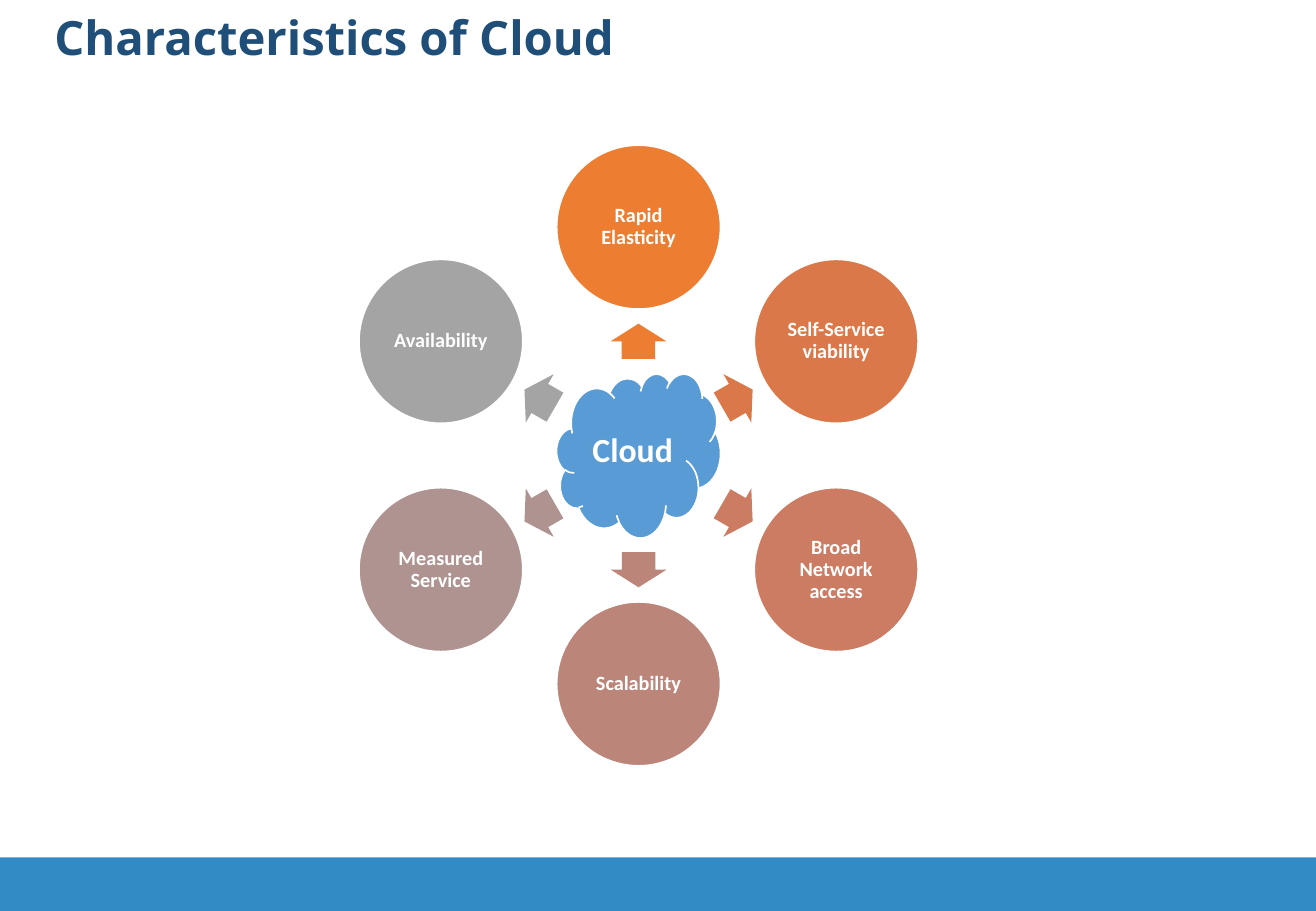
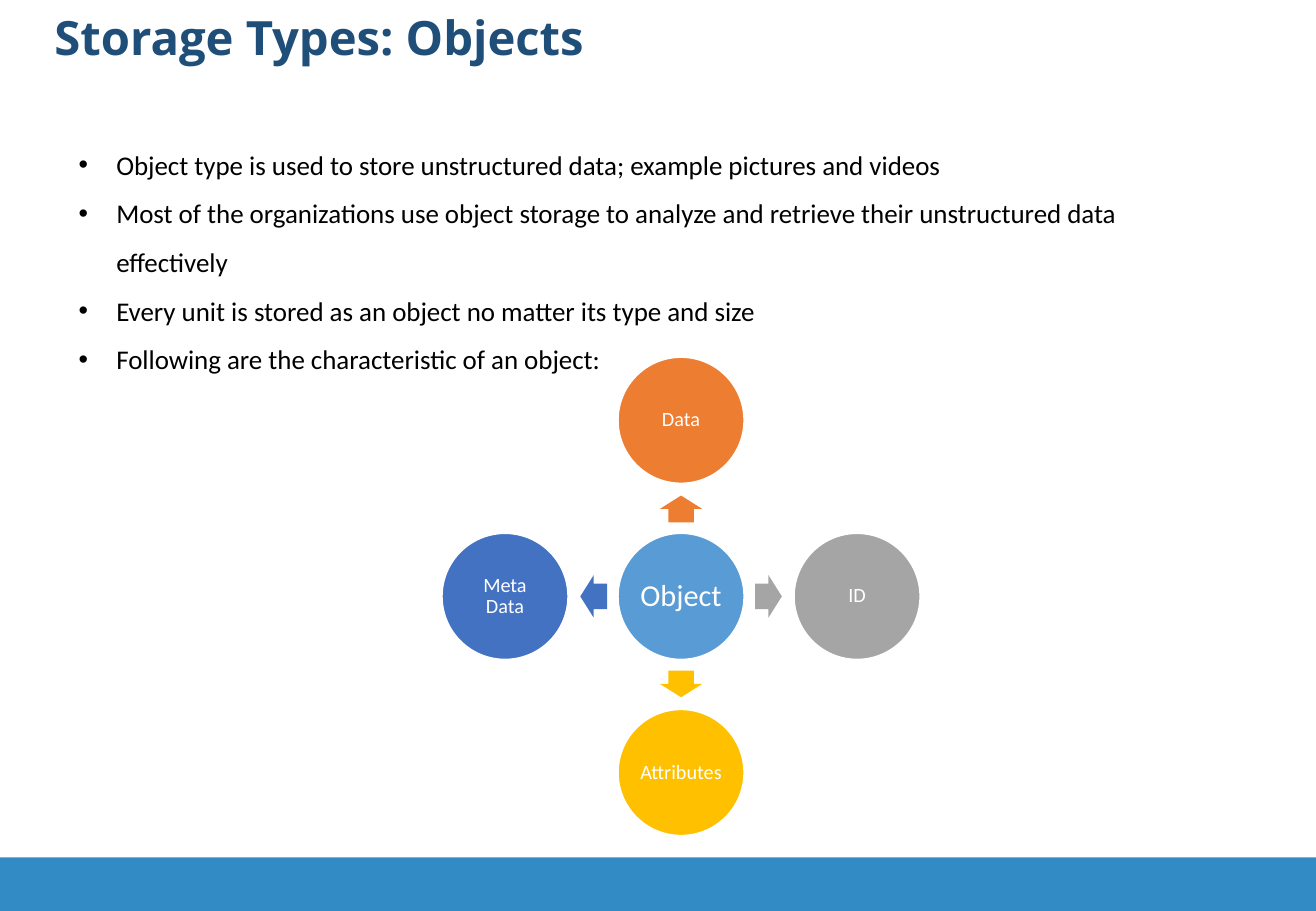
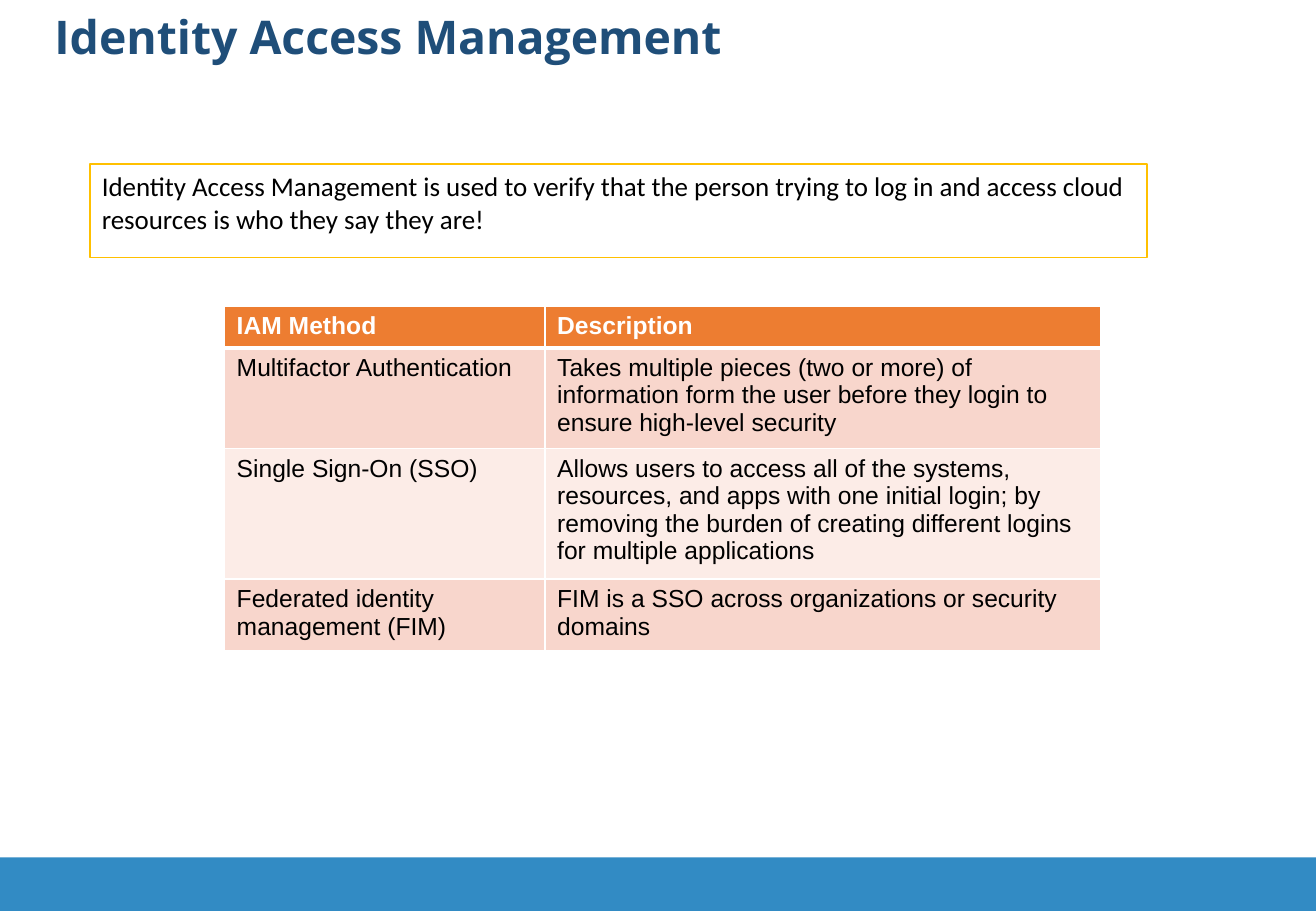
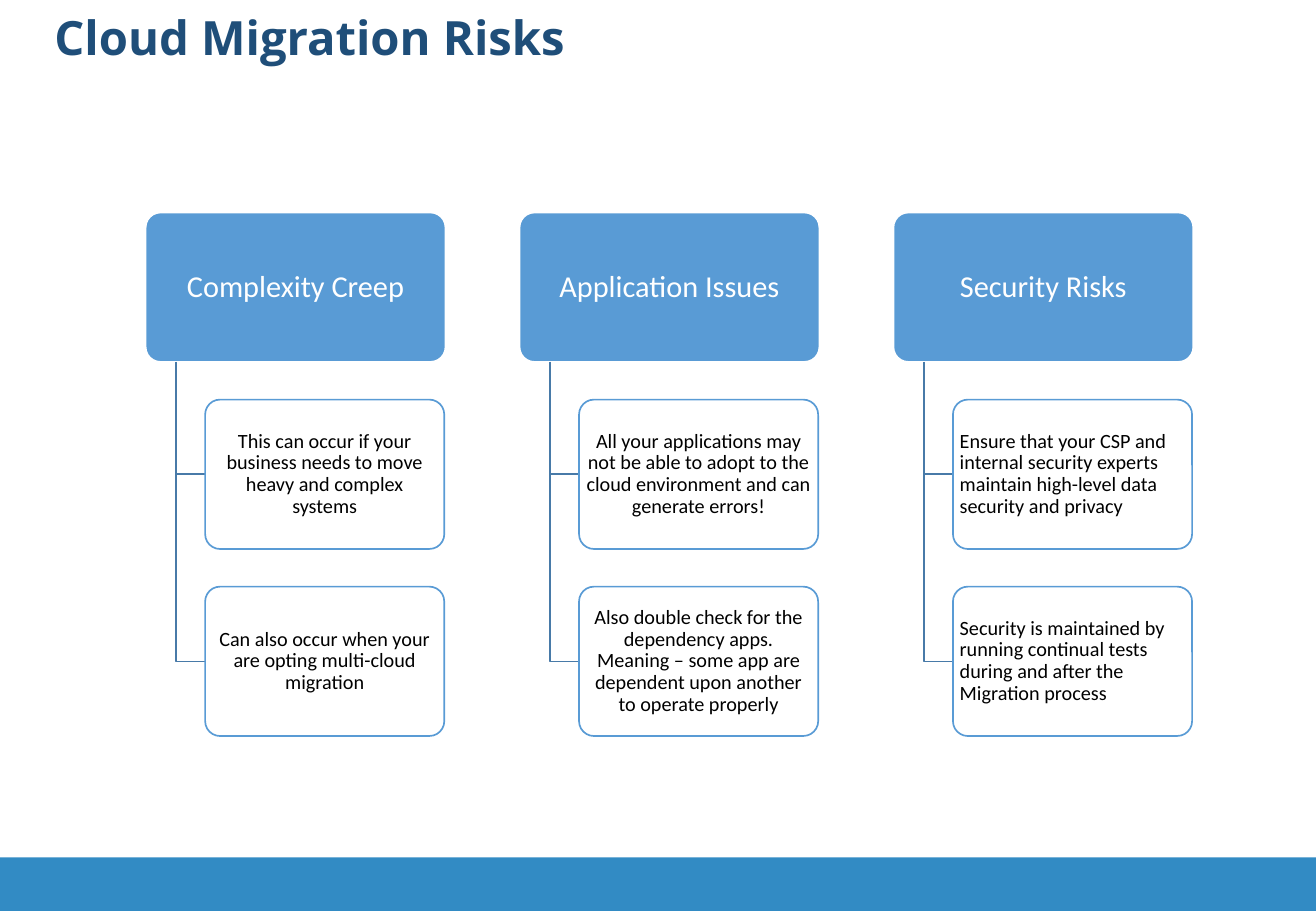
from math import cos, radians, sin

from pptx import Presentation
from pptx.dml.color import RGBColor
from pptx.enum.shapes import MSO_SHAPE as Preset
from pptx.enum.text import MSO_ANCHOR as Anchor, PP_ALIGN as Align
from pptx.oxml.ns import qn
from pptx.util import Inches, Pt
from lxml.etree import SubElement

WHITE = RGBColor(0xFF, 0xFF, 0xFF)
BLACK = RGBColor(0x00, 0x00, 0x00)
NAVY = RGBColor(0x1F, 0x4E, 0x79)
BAND_BLUE = RGBColor(0x32, 0x8B, 0xC4)
BLUE = RGBColor(0x59, 0x9B, 0xD5)
LINE_BLUE = RGBColor(0x48, 0x7A, 0xA8)
ROYAL = RGBColor(0x43, 0x72, 0xC3)
ORANGE = RGBColor(0xED, 0x7D, 0x31)
RUST = RGBColor(0xDB, 0x78, 0x4A)
TERRACOTTA = RGBColor(0xCB, 0x7C, 0x63)
CLAY = RGBColor(0xBC, 0x85, 0x7A)
MAUVE = RGBColor(0xAF, 0x93, 0x90)
SILVER = RGBColor(0xA4, 0xA4, 0xA4)
GRAY = RGBColor(0xA5, 0xA5, 0xA5)
GOLD = RGBColor(0xFF, 0xC0, 0x00)
ROW_DARK = RGBColor(0xF8, 0xD6, 0xCC)
ROW_LIGHT = RGBColor(0xFC, 0xEC, 0xE7)

WIDTH, HEIGHT, BAND_HEIGHT = 10.84, 7.5, 0.44
BODY_FONT, TITLE_FONT, TABLE_FONT = "Calibri", "Open Sans", "Arial"
DEFAULT_INSETS = (0.1, 0.05)

# Satellites run clockwise from the top.
CLOUD_TRAITS = [
    ("Rapid Elasticity", ORANGE),
    ("Self-Service viability", RUST),
    ("Broad Network access", TERRACOTTA),
    ("Scalability", CLAY),
    ("Measured Service", MAUVE),
    ("Availability", SILVER),
]
OBJECT_PARTS = [
    ("Data", ORANGE),
    ("ID", GRAY),
    ("Attributes", GOLD),
    ("Meta Data", ROYAL),
]
OBJECT_BULLETS = [
    "Object type is used to store unstructured data; example pictures and videos",
    "Most of the organizations use object storage to analyze and retrieve their "
    "unstructured data effectively",
    "Every unit is stored as an object no matter its type and size",
    "Following are the characteristic of an object:",
]
IAM_SUMMARY = (
    "Identity Access Management is used to verify that the person trying to log in "
    "and access cloud resources is who they say they are!"
)
IAM_METHODS = [
    ("IAM Method", "Description"),
    ("Multifactor Authentication",
     "Takes multiple pieces (two or more) of information form the user before they "
     "login to ensure high-level security"),
    ("Single Sign-On (SSO)",
     "Allows users to access all of the systems, resources, and apps with one initial "
     "login; by removing the burden of creating different logins for multiple "
     "applications"),
    ("Federated identity management (FIM)",
     "FIM is a SSO across organizations or security domains"),
]
IAM_COLUMNS = [2.64, 4.58]
IAM_ROWS = [0.32, 0.78, 1.0, 0.56]
RISKS = [
    ("Complexity Creep", Align.CENTER, [
        "This can occur if your business needs to move heavy and complex systems",
        "Can also occur when your are opting multi-cloud migration",
    ]),
    ("Application Issues", Align.CENTER, [
        "All your applications may not be able to adopt to the cloud environment and "
        "can generate errors!",
        "Also double check for the dependency apps. Meaning – some app are dependent "
        "upon another to operate properly",
    ]),
    ("Security Risks", Align.LEFT, [
        "Ensure that your CSP and internal security experts maintain high-level data "
        "security and privacy",
        "Security is maintained by running continual tests during and after the "
        "Migration process",
    ]),
]


def inches(*lengths):
    return [Inches(length) for length in lengths]


def write(frame, lines, size, color, font=BODY_FONT, bold=False, align=Align.LEFT,
          spacing=1.0, anchor=Anchor.TOP, insets=DEFAULT_INSETS, bullet=False):
    frame.word_wrap = True
    frame.vertical_anchor = anchor
    frame.margin_left = frame.margin_right = Inches(insets[0])
    frame.margin_top = frame.margin_bottom = Inches(insets[1])
    frame.text = "\n".join(lines)
    for para in frame.paragraphs:
        para.alignment = align
        para.line_spacing = spacing
        if bullet:
            add_bullet(para)
        for span in para.runs:
            span.font.name = font
            span.font.size = Pt(size)
            span.font.bold = bold
            span.font.color.rgb = color


def add_bullet(para, indent=0.31):
    properties = para._p.get_or_add_pPr()
    properties.set("marL", str(Inches(indent)))
    properties.set("indent", str(-Inches(indent)))
    SubElement(properties, qn("a:buFont"), typeface="Arial")
    SubElement(properties, qn("a:buChar"), char="•")


def style(shape, fill=None, line=None):
    shape.shadow.inherit = False
    if fill is None:
        shape.fill.background()
    else:
        shape.fill.solid()
        shape.fill.fore_color.rgb = fill
    if line is None:
        shape.line.fill.background()
    else:
        shape.line.color.rgb = line
        shape.line.width = Pt(1)
    return shape


def add_box(page, preset, left, top, width, height, fill=None, line=None):
    shape = page.shapes.add_shape(preset, *inches(left, top, width, height))
    return style(shape, fill, line)


def add_page(deck, title, title_size=28):
    page = deck.slides.add_slide(deck.slide_layouts[6])
    add_box(page, Preset.RECTANGLE, 0, HEIGHT - BAND_HEIGHT, WIDTH, BAND_HEIGHT, BAND_BLUE)
    box = page.shapes.add_textbox(*inches(0.35, 0.07, 6.21, 0.69))
    write(box.text_frame, [title], title_size, NAVY, TITLE_FONT, True, spacing=0.9)
    return page


def add_radial(page, hub, hub_preset, hub_size, satellites, center, radius,
               diameter, arrow_radius, arrow_size, bold):
    """Draw a hub with satellites at equal angles and an arrow towards each."""

    def add_centered(preset, distance, angle, width, height, fill, line=None):
        x = center[0] + distance * cos(radians(angle))
        y = center[1] + distance * sin(radians(angle))
        return add_box(page, preset, x - width / 2, y - height / 2, width, height, fill, line)

    def add_node(preset, distance, angle, fill, label, size):
        node = add_centered(preset, distance, angle, diameter, diameter, fill, WHITE)
        write(node.text_frame, [label], size, WHITE, bold=bold, align=Align.CENTER,
              spacing=0.9, anchor=Anchor.MIDDLE, insets=(0.02, 0.02))

    add_node(hub_preset, 0, 0, BLUE, hub, hub_size)
    for index, (label, color) in enumerate(satellites):
        angle = index * 360 / len(satellites) - 90
        arrow = add_centered(Preset.RIGHT_ARROW, arrow_radius, angle, *arrow_size, color)
        arrow.adjustments[0], arrow.adjustments[1] = 0.6, 0.5
        arrow.rotation = angle % 360
        add_node(Preset.OVAL, radius, angle, color, label, 12)


def add_borders(cell, bottom_width):
    properties = cell._tc.get_or_add_tcPr()
    for side, width in (("L", 1), ("R", 1), ("T", 1), ("B", bottom_width)):
        border = SubElement(properties, qn(f"a:ln{side}"), w=str(Pt(width)))
        fill = SubElement(border, qn("a:solidFill"))
        SubElement(fill, qn("a:srgbClr"), val=str(WHITE))


def add_methods_table(page):
    frame = page.shapes.add_table(
        len(IAM_ROWS), len(IAM_COLUMNS),
        *inches(1.85, 2.52, sum(IAM_COLUMNS), sum(IAM_ROWS)))
    table = frame.table
    for column, width in zip(table.columns, IAM_COLUMNS):
        column.width = Inches(width)
    for number, (row, height) in enumerate(zip(table.rows, IAM_ROWS)):
        row.height = Inches(height)
        header = number == 0
        fill = ORANGE if header else ROW_DARK if number % 2 else ROW_LIGHT
        for cell, text in zip(row.cells, IAM_METHODS[number]):
            write(cell.text_frame, [text], 14.6, WHITE if header else BLACK,
                  TABLE_FONT, header)
            add_borders(cell, 3 if header else 1)
            cell.fill.solid()
            cell.fill.fore_color.rgb = fill


def add_elbow(page, left, top, right, bottom):
    builder = page.shapes.build_freeform(*inches(left, top))
    builder.add_line_segments([inches(left, bottom), inches(right, bottom)], close=False)
    style(builder.convert_to_shape(), line=LINE_BLUE)


def add_risk_columns(page):
    first_left, top, pitch = 1.2, 1.75, 3.08
    head_width, detail_width, height = 2.47, 1.97, 1.23
    row_pitch, trunk_offset, detail_offset = 1.54, 0.25, 0.49

    def add_card(left, card_top, width, fill, line, text, size, color, align, insets):
        card = add_box(page, Preset.ROUNDED_RECTANGLE, left, card_top, width, height, fill, line)
        card.adjustments[0] = 0.1
        write(card.text_frame, [text], size, color, align=align, spacing=0.9,
              anchor=Anchor.MIDDLE, insets=insets)

    for column, (heading, align, details) in enumerate(RISKS):
        left = first_left + column * pitch
        add_card(left, top, head_width, BLUE, WHITE, heading, 18, WHITE,
                 Align.CENTER, (0.04, 0.02))
        for row, detail in enumerate(details, start=1):
            detail_left, detail_top = left + detail_offset, top + row * row_pitch
            add_elbow(page, left + trunk_offset, top + height,
                      detail_left, detail_top + height / 2)
            add_card(detail_left, detail_top, detail_width, WHITE, BLUE, detail, 12, BLACK,
                     align, (0.02, 0.02))


def main():
    deck = Presentation()
    deck.slide_width, deck.slide_height = inches(WIDTH, HEIGHT)

    page = add_page(deck, "Characteristics of Cloud")
    add_radial(page, "Cloud", Preset.CLOUD, 20, CLOUD_TRAITS, center=(5.26, 3.75),
               radius=1.88, diameter=1.35, arrow_radius=0.94, arrow_size=(0.29, 0.46),
               bold=True)

    page = add_page(deck, "Storage Types: Objects")
    box = page.shapes.add_textbox(*inches(0.55, 1.04, 9.37, 2.12))
    write(box.text_frame, OBJECT_BULLETS, 16, BLACK, spacing=1.5, bullet=True)
    add_radial(page, "Object", Preset.OVAL, 18, OBJECT_PARTS, center=(5.61, 4.91),
               radius=1.45, diameter=1.04, arrow_radius=0.72, arrow_size=(0.22, 0.35),
               bold=False)

    page = add_page(deck, "Identity Access Management", 27.5)
    add_methods_table(page)
    summary = add_box(page, Preset.RECTANGLE, 0.74, 1.35, 8.71, 0.77, line=GOLD)
    write(summary.text_frame, [IAM_SUMMARY], 16, BLACK)

    add_risk_columns(add_page(deck, "Cloud Migration Risks"))

    deck.save("out.pptx")


if __name__ == "__main__":
    main()
